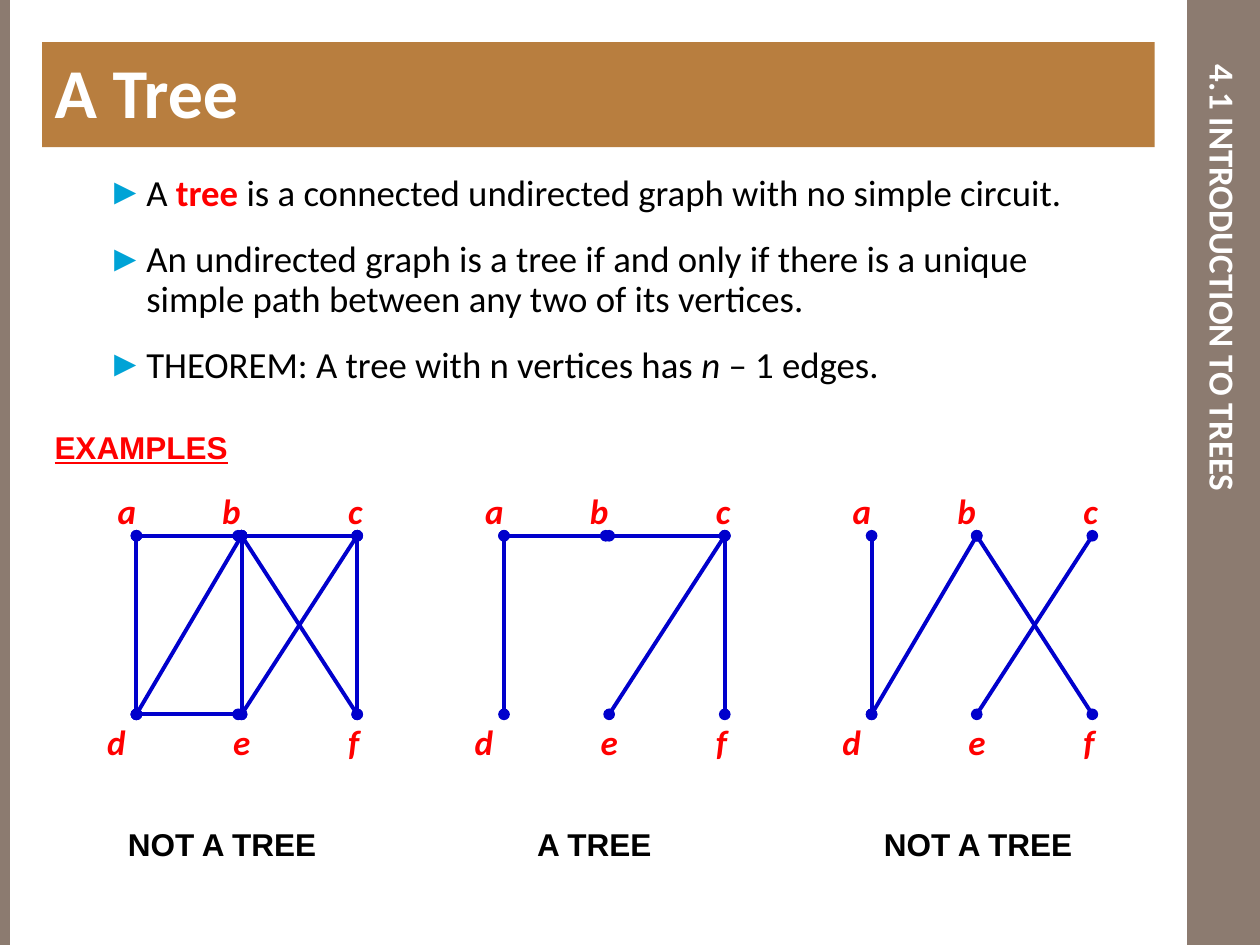
from lxml import etree
from pptx import Presentation
from pptx.dml.color import RGBColor
from pptx.enum.shapes import MSO_CONNECTOR, MSO_SHAPE
from pptx.enum.text import MSO_ANCHOR, PP_ALIGN
from pptx.oxml.ns import qn
from pptx.util import Cm, Pt

RECTANGLE = MSO_SHAPE.RECTANGLE
STRAIGHT = MSO_CONNECTOR.STRAIGHT
TOP, MIDDLE = MSO_ANCHOR.TOP, MSO_ANCHOR.MIDDLE
LEFT, CENTER = PP_ALIGN.LEFT, PP_ALIGN.CENTER

WHITE, BLACK, RED = "FFFFFF", "000000", "FF0000"
TAUPE, BROWN, BLUE, CYAN = "8C7B70", "B87E3F", "0000CC", "00A3D6"

# Content; all lengths are in centimetres
SECTION = "4.1 INTRODUCTION TO TREES"
TITLE = "A Tree"
RED_BOLD = {"color": RED, "bold": True}
BULLETS = [  # space before in points, spans
    (0, [("A ", {}), ("tree", RED_BOLD),
         (" is a connected undirected graph with no simple circuit.", {})]),
    (15.2, [("An undirected graph is a tree if and only if there is a unique "
             "simple path between any two of its vertices.", {})]),
    (15, [("THEOREM: A tree with n vertices has ", {}), ("n", {"italic": True}),
          (" – 1 edges.", {})]),
]
GRAPHS = [  # edges, caption, caption shift from the first vertex
    ("ce de ab ad be bc bf bd cf", "NOT A TREE", -0.42),
    ("ce ab ad bc cf", "A TREE", 0.42),
    ("ce ad bf bd", "NOT A TREE", 0),
]
UPPER, LOWER = 10.8, 14.4
VERTICES = {  # x from the first vertex, y, label x, label top
    "a": (0, UPPER, -0.63, 9.74),
    "b": (2.12, UPPER, 1.48, 9.74),
    "c": (4.45, UPPER, 4.02, 9.74),
    "d": (0, LOWER, -0.84, LOWER),
    "e": (2.12, LOWER, 1.7, LOWER),
    "f": (4.45, LOWER, 4.02, LOWER),
}
FIRST_GRAPH, GRAPH_PITCH = 2.75, 7.41
SHORT_EDGES, SHORTFALL = ("ab", "de"), 0.07

deck = Presentation()
deck.slide_width, deck.slide_height = Cm(25.4), Cm(19.05)
page = deck.slides.add_slide(deck.slide_layouts[6])


def rgb(value):
    return RGBColor.from_string(value)


def add_span(para, text, size=20, font="Calibri", color=BLACK, bold=False,
             italic=False, underline=False):
    span = para.add_run()
    span.text = text
    style = span.font
    style.size, style.name = Pt(size), font
    style.bold, style.italic, style.underline = bold, italic, underline
    style.color.rgb = rgb(color)


def set_frame(box, anchor=TOP, margins=(0.25, 0.13)):
    frame = box.text_frame
    frame.word_wrap = True
    frame.vertical_anchor = anchor
    frame.margin_left = frame.margin_right = Cm(margins[0])
    frame.margin_top = frame.margin_bottom = Cm(margins[1])
    return frame


def add_text(text, left, top, width, height, align=LEFT, anchor=TOP,
             margins=(0.25, 0.13), **style):
    box = page.shapes.add_textbox(Cm(left), Cm(top), Cm(width), Cm(height))
    para = set_frame(box, anchor, margins).paragraphs[0]
    para.alignment = align
    add_span(para, text, **style)
    return box


def add_bar(left, top, width, height, color):
    bar = page.shapes.add_shape(RECTANGLE, Cm(left), Cm(top), Cm(width), Cm(height))
    bar.shadow.inherit = False
    bar.fill.solid()
    bar.fill.fore_color.rgb = rgb(color)
    bar.line.fill.background()
    return bar


def add_bullet(para):
    properties = para._p.get_or_add_pPr()
    properties.set("marL", str(Cm(2.06)))
    properties.set("indent", str(Cm(-0.79)))
    tint = etree.SubElement(properties, qn("a:buClr"))
    etree.SubElement(tint, qn("a:srgbClr"), val=CYAN)
    etree.SubElement(properties, qn("a:buFont"), typeface="Arial")
    etree.SubElement(properties, qn("a:buChar"), char="►")


def add_edge(edge, origin):
    (x1, y1), (x2, y2) = (VERTICES[name][:2] for name in edge)
    if edge in SHORT_EDGES:
        x1, x2 = min(x1, x2), max(x1, x2) - SHORTFALL
    line = page.shapes.add_connector(
        STRAIGHT, Cm(origin + x1), Cm(y1), Cm(origin + x2), Cm(y2))
    line.line.color.rgb = rgb(BLUE)
    line.line.width = Pt(2.25)
    outline = line.line._get_or_add_ln()
    for end in ("a:headEnd", "a:tailEnd"):
        etree.SubElement(outline, qn(end), type="oval")
    etree.SubElement(line._element.spPr, qn("a:effectLst"))


# Side bars and section name
add_bar(23.93, 0, 1.47, 19.05, TAUPE)
add_bar(0, 0, 0.2, 19.05, TAUPE)
section = add_text(SECTION, 23.93, 1.06, 1.47, 16.3, align=CENTER, anchor=MIDDLE,
                   margins=(0.13, 0.25), color=WHITE, bold=True)
section.text_frame._txBody.bodyPr.set("vert", "eaVert")

# Title band
band = add_bar(0.85, 0.85, 22.43, 2.12, BROWN)
heading = set_frame(band).paragraphs[0]
heading.alignment = LEFT
add_span(heading, TITLE, size=40, color=WHITE, bold=True)

# Bullet list
body = page.shapes.add_textbox(Cm(0.64), Cm(3.39), Cm(22.3), Cm(4.65))
frame = set_frame(body)
for index, (space, spans) in enumerate(BULLETS):
    para = frame.add_paragraph() if index else frame.paragraphs[0]
    add_bullet(para)
    para.line_spacing = 0.9
    para.space_before = Pt(space)
    for text, style in spans:
        add_span(para, text, size=21, **style)

# Example graphs
add_text("EXAMPLES", 0.85, 8.5, 4.23, 1.02, size=18, font="Arial", color=RED,
         bold=True, underline=True)
for index, (edges, caption, shift) in enumerate(GRAPHS):
    origin = FIRST_GRAPH + index * GRAPH_PITCH
    for edge in edges.split():
        add_edge(edge, origin)
    for name, (_, _, label_x, label_top) in VERTICES.items():
        add_text(name, origin + label_x, label_top, 0.85, 1.11, color=RED,
                 bold=True, italic=True)
    add_text(caption, origin + shift, 16.51, 4.87, 1.02, size=18, font="Arial",
             bold=True)

deck.save("out.pptx")
